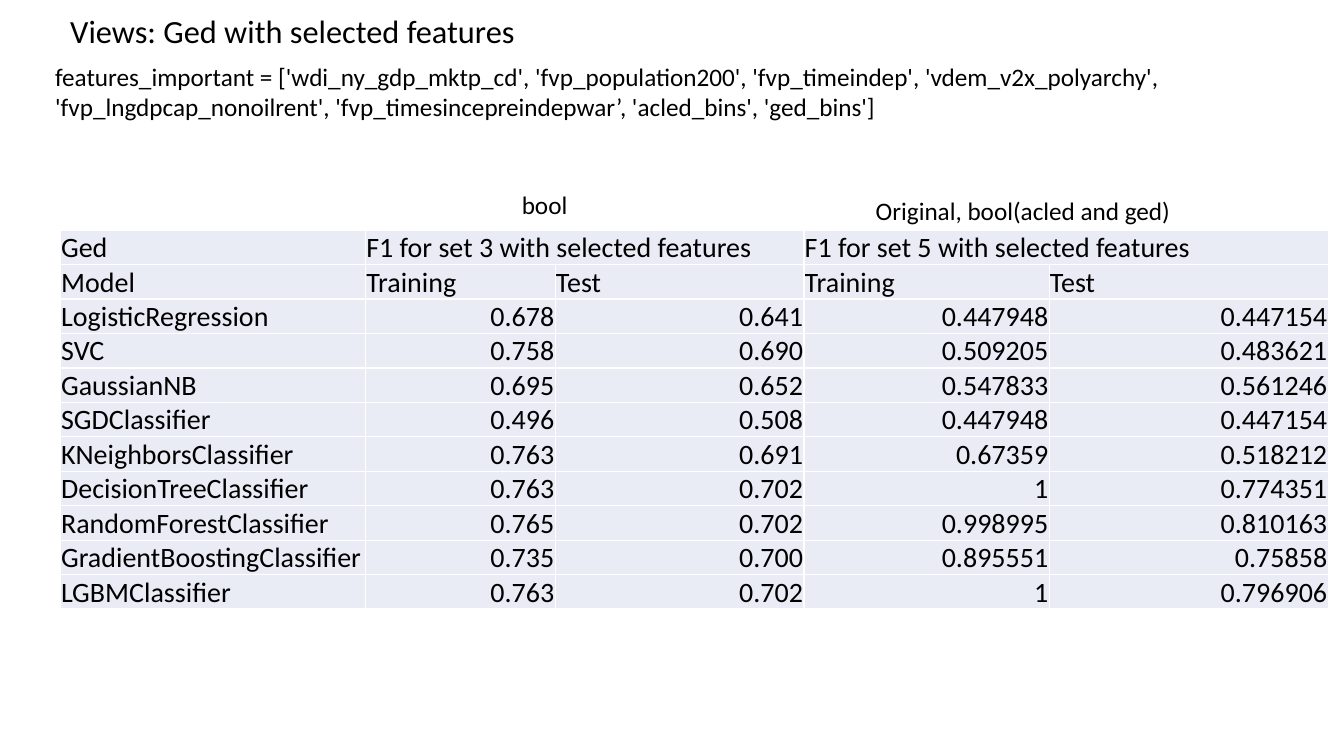
from lxml import etree
from pptx import Presentation
from pptx.dml.color import RGBColor
from pptx.enum.text import MSO_ANCHOR as Anchor, PP_ALIGN as Align
from pptx.oxml.ns import qn
from pptx.util import Cm, Pt

FONT = "Calibri"
BLACK, WHITE, CELL_FILL = "000000", "FFFFFF", "E9EBF5"

FEATURES = (
    "features_important = ['wdi_ny_gdp_mktp_cd', 'fvp_population200', "
    "'fvp_timeindep', 'vdem_v2x_polyarchy', 'fvp_lngdpcap_nonoilrent', "
    "'fvp_timesincepreindepwar’, 'acled_bins', 'ged_bins']"
)
COLUMN_WIDTHS = (7.69, 4.78, 6.27, 6.18, 7.03)
ROW_HEIGHT = 0.86
HEADER_ROWS = 2
SCORES = [
    ("Ged", "F1 for set 3 with selected features", "",
     "F1 for set 5 with selected features", ""),
    ("Model", "Training", "Test", "Training", "Test"),
    ("LogisticRegression", "0.678", "0.641", "0.447948", "0.447154"),
    ("SVC", "0.758", "0.690", "0.509205", "0.483621"),
    ("GaussianNB", "0.695", "0.652", "0.547833", "0.561246"),
    ("SGDClassifier", "0.496", "0.508", "0.447948", "0.447154"),
    ("KNeighborsClassifier", "0.763", "0.691", "0.67359", "0.518212"),
    ("DecisionTreeClassifier", "0.763", "0.702", "1", "0.774351"),
    ("RandomForestClassifier", "0.765", "0.702", "0.998995", "0.810163"),
    ("GradientBoostingClassifier", "0.735", "0.700", "0.895551", "0.75858"),
    ("LGBMClassifier", "0.763", "0.702", "1", "0.796906"),
]


def color(hex_value):
    return RGBColor.from_string(hex_value)


def format_runs(paragraph, size):
    for run in paragraph.runs:
        run.font.name = FONT
        run.font.size = Pt(size)
        run.font.color.rgb = color(BLACK)


def add_text(slide, text, left, top, width, height, size=18, wrap=True):
    box = slide.shapes.add_textbox(Cm(left), Cm(top), Cm(width), Cm(height))
    frame = box.text_frame
    frame.text = text
    frame.word_wrap = wrap
    format_runs(frame.paragraphs[0], size)
    return frame


def add_borders(cell):
    properties = cell._tc.get_or_add_tcPr()
    for side in ("a:lnL", "a:lnR", "a:lnT", "a:lnB"):
        line = etree.SubElement(properties, qn(side), w=str(Pt(1)))
        fill = etree.SubElement(line, qn("a:solidFill"))
        etree.SubElement(fill, qn("a:srgbClr"), val=WHITE)


def format_cell(cell, text, align):
    add_borders(cell)
    cell.fill.solid()
    cell.fill.fore_color.rgb = color(CELL_FILL)
    cell.vertical_anchor = Anchor.BOTTOM
    cell.margin_left = cell.margin_right = cell.margin_top = Cm(0.02)
    cell.margin_bottom = Cm(0)
    if text:
        cell.text_frame.text = text
    paragraph = cell.text_frame.paragraphs[0]
    paragraph.alignment = align
    format_runs(paragraph, 20)


def add_score_table(slide, left, top):
    frame = slide.shapes.add_table(
        len(SCORES), len(COLUMN_WIDTHS), Cm(left), Cm(top),
        Cm(sum(COLUMN_WIDTHS)), Cm(ROW_HEIGHT * len(SCORES)))
    table = frame.table
    table.first_row = table.horz_banding = False
    for column, width in zip(table.columns, COLUMN_WIDTHS):
        column.width = Cm(width)
    for row_index, values in enumerate(SCORES):
        table.rows[row_index].height = Cm(ROW_HEIGHT)
        for column_index, text in enumerate(values):
            is_score = row_index >= HEADER_ROWS and column_index > 0
            format_cell(table.cell(row_index, column_index), text,
                        Align.RIGHT if is_score else Align.LEFT)
    # Each feature set spans its training and test columns
    for first in (1, 3):
        table.cell(0, first).merge(table.cell(0, first + 1))


def main():
    presentation = Presentation()
    presentation.slide_width = Cm(33.87)
    presentation.slide_height = Cm(19.05)
    slide = presentation.slides.add_slide(presentation.slide_layouts[6])

    # Title and feature list
    title = add_text(slide, "Views: Ged with selected features",
                     1.52, 0.38, 30.84, 1.04, size=23.1)
    title.vertical_anchor = Anchor.MIDDLE
    title.paragraphs[0].line_spacing = 0.7
    add_text(slide, FEATURES, 1.14, 1.42, 31.22, 3.33)

    # Labels above the two feature sets
    add_text(slide, "bool", 12.9, 4.65, 1.68, 1.02, wrap=False)
    add_text(slide, "Original, bool(acled and ged)",
             21.82, 4.8, 8.03, 1.02, wrap=False)

    # Model scores
    add_score_table(slide, 1.52, 5.8)

    presentation.save("out.pptx")


if __name__ == "__main__":
    main()
